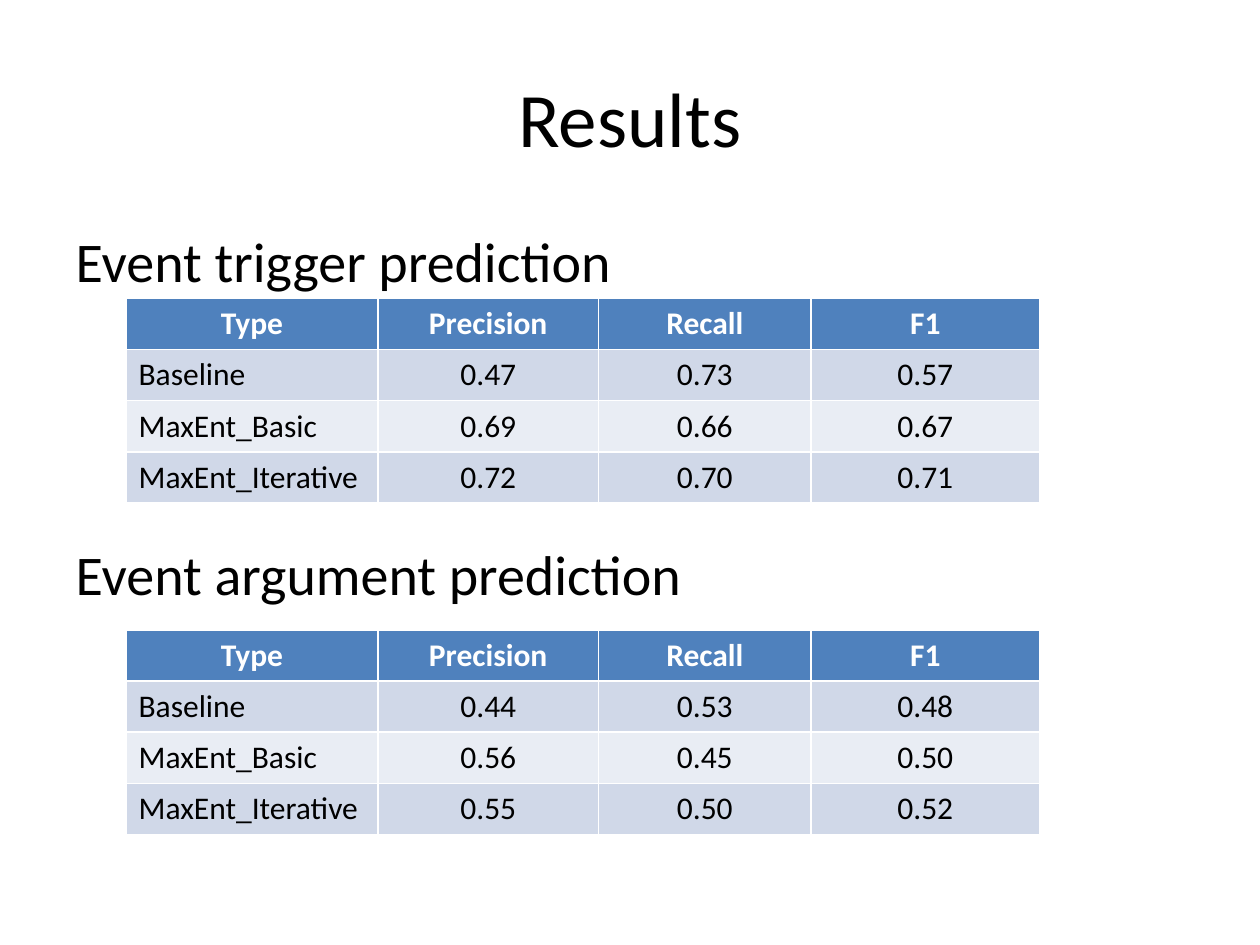
from pptx import Presentation
from pptx.dml.color import RGBColor
from pptx.enum.text import MSO_ANCHOR, PP_ALIGN
from pptx.util import Pt

LEFT, CENTER = PP_ALIGN.LEFT, PP_ALIGN.CENTER
MIDDLE, TOP = MSO_ANCHOR.MIDDLE, MSO_ANCHOR.TOP
BLACK = RGBColor(0x00, 0x00, 0x00)
WHITE = RGBColor(0xFF, 0xFF, 0xFF)
HEADER_BLUE = RGBColor(0x4F, 0x81, 0xBD)
BAND_DARK = RGBColor(0xD0, 0xD8, 0xE8)
BAND_LIGHT = RGBColor(0xE9, 0xED, 0xF4)

COLUMN_WIDTHS = [144, 126, 121.5, 130.5]
ROW_HEIGHT = 29.2
HEADER = ["Type", "Precision", "Recall", "F1"]
TABLES = [
    (170.6, [
        ["Baseline", "0.47", "0.73", "0.57"],
        ["MaxEnt_Basic", "0.69", "0.66", "0.67"],
        ["MaxEnt_Iterative", "0.72", "0.70", "0.71"],
    ]),
    (360, [
        ["Baseline", "0.44", "0.53", "0.48"],
        ["MaxEnt_Basic", "0.56", "0.45", "0.50"],
        ["MaxEnt_Iterative", "0.55", "0.50", "0.52"],
    ]),
]


def write_text(para, text, size, color=BLACK, bold=False, align=LEFT):
    para.alignment = align
    span = para.add_run()
    span.text = text
    span.font.name = "Calibri"
    span.font.size = Pt(size)
    span.font.bold = bold
    span.font.color.rgb = color


def place(box, left, top, width, height):
    box.left, box.top = Pt(left), Pt(top)
    box.width, box.height = Pt(width), Pt(height)


deck = Presentation()
deck.slide_width, deck.slide_height = Pt(720), Pt(540)
page = deck.slides.add_slide(deck.slide_layouts[1])

# Title
title = page.shapes.title
place(title, 36, 21.6, 648, 90)
title.text_frame.vertical_anchor = MIDDLE
write_text(title.text_frame.paragraphs[0], "Results", 44, align=CENTER)

# Section headings, spaced to leave room for the first table
body = page.placeholders[1]
place(body, 36, 126, 648, 356.4)
frame = body.text_frame
frame.vertical_anchor = TOP
trigger_heading, argument_heading = frame.paragraphs[0], frame.add_paragraph()
write_text(trigger_heading, "Event trigger prediction", 32)
write_text(argument_heading, "Event argument prediction", 32)
argument_heading.space_before = Pt(140.4)
for para in frame.paragraphs:
    properties = para._p.get_or_add_pPr()
    properties.set("marL", "0")
    properties.set("indent", "0")
    properties.makeelement
    bullet_none = properties.makeelement(
        "{http://schemas.openxmlformats.org/drawingml/2006/main}buNone", {})
    properties.append(bullet_none)

# Result tables
for top, results in TABLES:
    rows = [HEADER] + results
    table = page.shapes.add_table(
        len(rows), len(HEADER), Pt(72), Pt(top),
        Pt(sum(COLUMN_WIDTHS)), Pt(ROW_HEIGHT * len(rows))).table
    for column, width in zip(table.columns, COLUMN_WIDTHS):
        column.width = Pt(width)
    for r, values in enumerate(rows):
        table.rows[r].height = Pt(ROW_HEIGHT)
        is_header = r == 0
        fill = HEADER_BLUE if is_header else BAND_DARK if r % 2 else BAND_LIGHT
        for c, value in enumerate(values):
            cell = table.cell(r, c)
            cell.fill.solid()
            cell.fill.fore_color.rgb = fill
            write_text(cell.text_frame.paragraphs[0], value, 18,
                       color=WHITE if is_header else BLACK, bold=is_header,
                       align=CENTER if is_header or c else LEFT)

deck.save("out.pptx")
